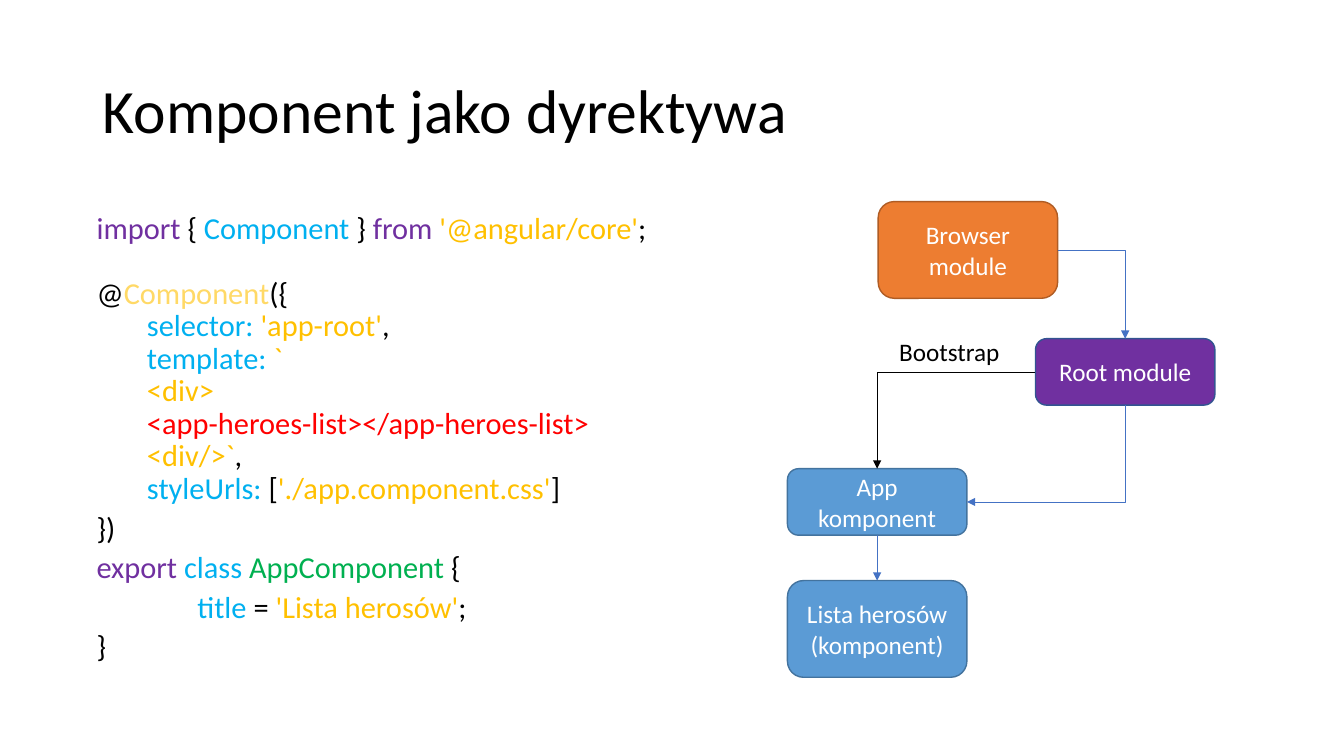
from lxml import etree
from pptx import Presentation
from pptx.dml.color import RGBColor
from pptx.enum.shapes import MSO_CONNECTOR, MSO_SHAPE
from pptx.enum.text import MSO_ANCHOR, PP_ALIGN
from pptx.oxml.ns import qn
from pptx.util import Inches, Pt

STRAIGHT, ELBOW = MSO_CONNECTOR.STRAIGHT, MSO_CONNECTOR.ELBOW
ROUNDED = MSO_SHAPE.ROUNDED_RECTANGLE
TOP, MIDDLE = MSO_ANCHOR.TOP, MSO_ANCHOR.MIDDLE
LEFT, CENTER = PP_ALIGN.LEFT, PP_ALIGN.CENTER

BLACK = RGBColor(0x00, 0x00, 0x00)
WHITE = RGBColor(0xFF, 0xFF, 0xFF)
PURPLE = RGBColor(0x70, 0x30, 0xA0)
CYAN = RGBColor(0x00, 0xB0, 0xF0)
GOLD = RGBColor(0xFF, 0xC0, 0x00)
PALE_GOLD = RGBColor(0xFF, 0xD9, 0x66)
RED = RGBColor(0xFF, 0x00, 0x00)
GREEN = RGBColor(0x00, 0xB0, 0x50)
ORANGE = RGBColor(0xED, 0x7D, 0x31)
ORANGE_EDGE = RGBColor(0xAF, 0x5C, 0x24)
PURPLE_EDGE = RGBColor(0x32, 0x54, 0x91)
BLUE = RGBColor(0x5B, 0x9B, 0xD5)
BLUE_EDGE = RGBColor(0x43, 0x73, 0x9E)
ARROW_BLUE = RGBColor(0x44, 0x72, 0xC4)

FONT = "Calibri"
TITLE = "Komponent jako dyrektywa"

# indent in inches, space before in points, coloured pieces
CODE = [
    (0, 10, [("import", PURPLE), (" { ", BLACK), ("Component", CYAN), (" } ", BLACK),
             ("from ", PURPLE), ("'@angular/core'", GOLD), (";", BLACK)]),
    (0, 28.5, [("@", BLACK), ("Component", PALE_GOLD), ("({", BLACK)]),
    (0.5, 5, [("selector: ", CYAN), ("'app-root'", GOLD), (",", BLACK)]),
    (0.5, 5, [("template: ", CYAN), ("`", GOLD)]),
    (0.5, 5, [("<div>", GOLD)]),
    (0.5, 5, [("<app-heroes-list></app-heroes-list>", RED)]),
    (0.5, 5, [("<div/>`", GOLD), (",", BLACK)]),
    (0.5, 5, [("styleUrls:", CYAN), (" [", BLACK), ("'./app.component.css'", GOLD), ("]", BLACK)]),
    (0, 10, [("})", BLACK)]),
    (0, 10, [("export ", PURPLE), ("class ", CYAN), ("AppComponent", GREEN), (" {", BLACK)]),
    (1, 10, [("title", CYAN), (" = ", BLACK), ("'Lista herosów'", GOLD), (";", BLACK)]),
    (0, 10, [("}", BLACK)]),
]

BOX_W = 1.78
BOXES = {
    "browser": ("Browser module", 8.71, 2, 0.96, ORANGE, ORANGE_EDGE),
    "root": ("Root module", 10.27, 3.36, 0.66, PURPLE, PURPLE_EDGE),
    "app": ("App komponent", 7.81, 4.65, 0.66, BLUE, BLUE_EDGE),
    "list": ("Lista herosów (komponent)", 7.81, 5.76, 0.96, BLUE, BLUE_EDGE),
}
ARROWS = [
    ("browser", "right", "root", "top", ARROW_BLUE),
    ("root", "bottom", "app", "right", ARROW_BLUE),
    ("app", "bottom", "list", "top", ARROW_BLUE),
    ("root", "left", "app", "top", BLACK),
]
SIDES = {"left": (0, 0.5), "right": (1, 0.5), "top": (0.5, 0), "bottom": (0.5, 1)}


def style_run(r, size, color):
    r.font.name = FONT
    r.font.size = Pt(size)
    r.font.color.rgb = color


def set_text(sp, text, size, color, align, anchor):
    tf = sp.text_frame
    tf.word_wrap = True
    tf.vertical_anchor = anchor
    tf.text = text
    p = tf.paragraphs[0]
    p.alignment = align
    style_run(p.runs[0], size, color)
    return p


def side_point(name, side):
    _, left, top, height, _, _ = BOXES[name]
    fx, fy = SIDES[side]
    return left + fx * BOX_W, top + fy * height


def add_arrow(s, start, start_side, end, end_side, color):
    x1, y1 = side_point(start, start_side)
    x2, y2 = side_point(end, end_side)
    straight = x1 == x2
    turned = start_side == "bottom" and not straight
    if turned:
        cx, cy = (x1 + x2) / 2, (y1 + y2) / 2
        half_w, half_h = abs(y2 - y1) / 2, abs(x2 - x1) / 2
        x1, y1, x2, y2 = cx - half_w, cy - half_h, cx + half_w, cy + half_h
    ends = [Inches(v) for v in (x1, y1, x2, y2)]
    cxn = s.shapes.add_connector(STRAIGHT if straight else ELBOW, *ends)
    cxn.line.color.rgb = color
    cxn.line.width = Pt(0.5)
    pr = cxn._element.spPr
    if not straight:
        pr.find(qn("a:prstGeom")).set("prst", "bentConnector2")
    if turned:
        pr.find(qn("a:xfrm")).set("rot", str(90 * 60000))
    etree.SubElement(pr.find(qn("a:ln")), qn("a:tailEnd"), type="triangle")
    etree.SubElement(pr, qn("a:effectLst"))


def add_code(s):
    sp = s.shapes.add_textbox(Inches(0.86), Inches(2.12), Inches(5.86), Inches(4.76))
    tf = sp.text_frame
    tf.word_wrap = True
    for i, (indent, before, pieces) in enumerate(CODE):
        p = tf.add_paragraph() if i else tf.paragraphs[0]
        p.line_spacing = 0.7
        p.space_before = Pt(before)
        if indent:
            p._p.get_or_add_pPr().set("marL", str(Inches(indent)))
        for text, color in pieces:
            r = p.add_run()
            r.text = text
            style_run(r, 21.7, color)


def main():
    prs = Presentation()
    prs.slide_width, prs.slide_height = Inches(13.33), Inches(7.5)
    s = prs.slides.add_slide(prs.slide_layouts[5])

    title = s.shapes.title
    title.left, title.top = Inches(0.92), Inches(0.4)
    title.width, title.height = Inches(11.5), Inches(1.45)
    set_text(title, TITLE, 44, BLACK, LEFT, MIDDLE).line_spacing = 0.9

    for text, left, top, height, fill, edge in BOXES.values():
        sp = s.shapes.add_shape(ROUNDED, Inches(left), Inches(top), Inches(BOX_W), Inches(height))
        sp.shadow.inherit = False
        sp.fill.solid()
        sp.fill.fore_color.rgb = fill
        sp.line.color.rgb = edge
        sp.line.width = Pt(1)
        set_text(sp, text, 18, WHITE, CENTER, MIDDLE)

    for arrow in ARROWS:
        add_arrow(s, *arrow)

    label = s.shapes.add_textbox(Inches(8.82), Inches(3.29), Inches(1.43), Inches(0.4))
    set_text(label, "Bootstrap", 18, BLACK, LEFT, TOP)
    add_code(s)
    prs.save("out.pptx")


if __name__ == "__main__":
    main()
